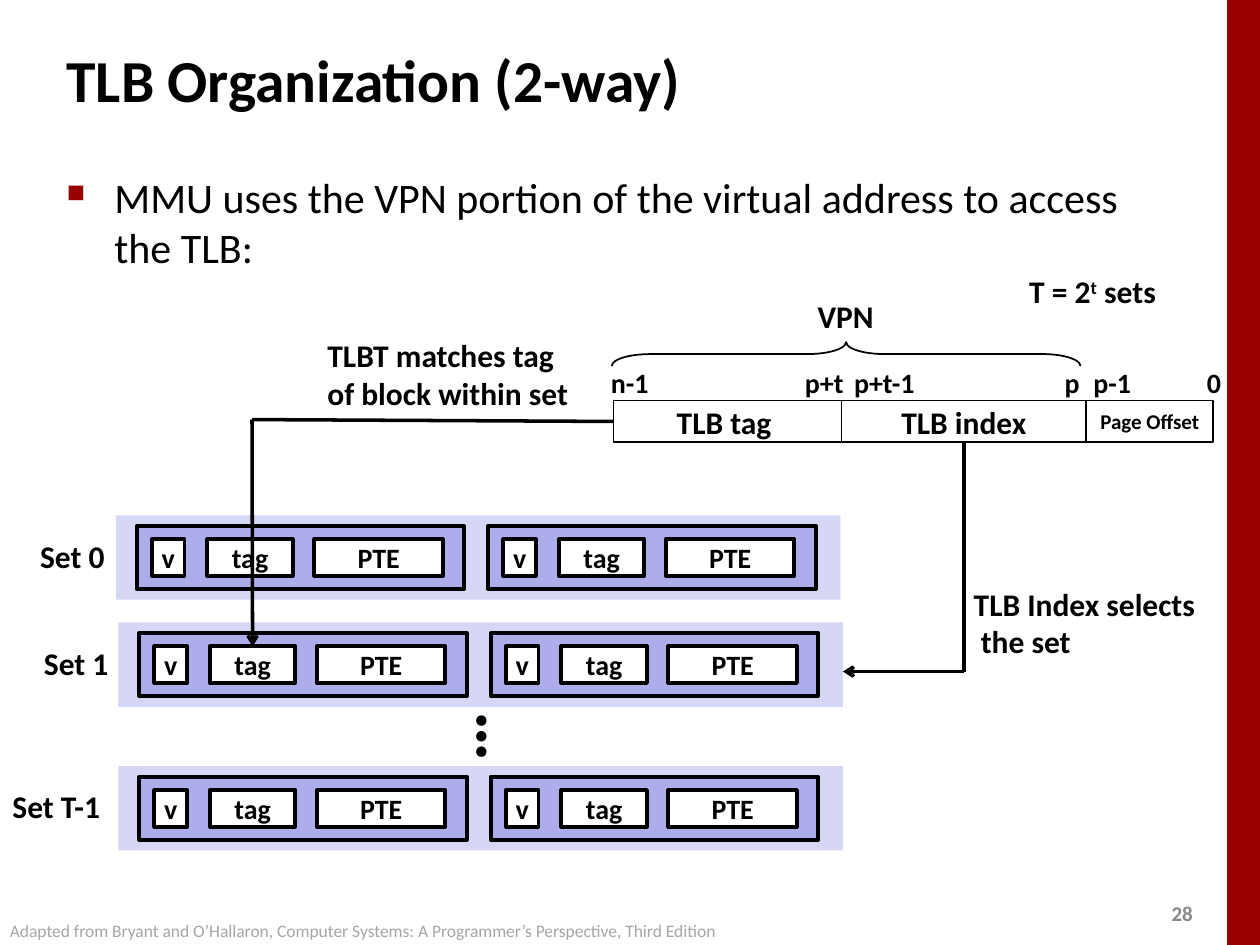
from lxml.etree import SubElement
from pptx import Presentation
from pptx.dml.color import RGBColor
from pptx.enum.shapes import MSO_CONNECTOR, MSO_SHAPE
from pptx.enum.text import MSO_ANCHOR, MSO_AUTO_SIZE, PP_ALIGN
from pptx.oxml.ns import qn
from pptx.util import Inches, Pt

W, H = 10, 7.5
FONT = "Calibri"
BLACK, WHITE, RED = "000000", "FFFFFF", "990000"
PALE, LILAC = "D6D6F5", "ADADEB"

TITLE = "TLB Organization (2-way)"
BULLET = "MMU uses the VPN portion of the virtual address to access the TLB:"
CREDIT = ("Adapted from Bryant and O’Hallaron, Computer Systems: "
          "A Programmer’s Perspective, Third Edition")

# Address fields: text, width, text size, fill
FIELDS = [("TLB tag ", 1.81, 18, WHITE), ("TLB index", 1.94, 18, None),
          ("Page Offset", 1.01, 12, None)]
FIELD_X, FIELD_Y, FIELD_H = 4.87, 3.18, 0.33
# Bit numbers above the fields: text, left, width
BITS = [("n-1", 4.75, 0.51), ("p+t", 6.29, 0.51), ("p+t-1", 6.68, 0.69),
        ("p", 8.35, 0.32), ("p-1", 8.58, 0.51), ("0", 9.48, 0.32)]

# Sets: label, label left, label width, row left, row top
SETS = [("Set 0", 0.22, 0.72, 0.92, 4.09), ("Set 1", 0.25, 0.72, 0.94, 4.94),
        ("Set T-1", 0, 0.92, 0.94, 6.08)]
SET_W, SET_H = 5.75, 0.67
WAYS, WAY_W, WAY_H, PITCH = 2, 2.6, 0.5, 2.79
# Parts of one way: text, left within the way, width
PARTS = [("v", 0.12, 0.26), ("tag", 0.56, 0.68), ("PTE", 1.41, 1.02)]
PART_H = 0.29

prs = Presentation()
prs.slide_width, prs.slide_height = Inches(W), Inches(H)
slide = prs.slides.add_slide(prs.slide_layouts[6])
shapes = slide.shapes


def rgb(code):
    return RGBColor.from_string(code)


def write(par, text, size, bold=True, color=BLACK):
    run = par.add_run()
    run.text = text
    font = run.font
    font.name, font.size, font.bold = FONT, Pt(size), bold
    font.color.rgb = rgb(color)
    return run


def label(lines, at, size=18, bold=True, color=BLACK, wrap=False,
          anchor=MSO_ANCHOR.TOP, grow=True):
    box = shapes.add_textbox(*map(Inches, at))
    frame = box.text_frame
    frame.word_wrap, frame.vertical_anchor = wrap, anchor
    frame.auto_size = (MSO_AUTO_SIZE.SHAPE_TO_FIT_TEXT if grow
                       else MSO_AUTO_SIZE.NONE)
    for i, line in enumerate(lines):
        par = frame.add_paragraph() if i else frame.paragraphs[0]
        write(par, line, size, bold, color)
    return box


def block(at, fill=None, line=None, text="", size=16, kind=MSO_SHAPE.RECTANGLE):
    shape = shapes.add_shape(kind, *map(Inches, at))
    shape.shadow.inherit = False
    if fill:
        shape.fill.solid()
        shape.fill.fore_color.rgb = rgb(fill)
    else:
        shape.fill.background()
    if line:
        shape.line.color.rgb = rgb(BLACK)
        shape.line.width = Pt(line)
    else:
        shape.line.fill.background()
    if text:
        frame = shape.text_frame
        frame.word_wrap, frame.vertical_anchor = False, MSO_ANCHOR.MIDDLE
        par = frame.paragraphs[0]
        par.alignment = PP_ALIGN.CENTER
        write(par, text, size)
    return shape


def link(start, end, arrow=False):
    wire = shapes.add_connector(MSO_CONNECTOR.STRAIGHT,
                                *map(Inches, start + end))
    wire.line.color.rgb = rgb(BLACK)
    wire.line.width = Pt(2)
    if arrow:
        SubElement(wire.line._get_or_add_ln(), qn("a:tailEnd"), type="arrow")
    SubElement(wire._element.spPr, qn("a:effectLst"))
    return wire


def add_bullet(par):
    props = par._p.get_or_add_pPr()
    props.set("marL", str(Inches(0.38)))
    props.set("indent", str(Inches(-0.38)))
    color = SubElement(props, qn("a:buClr"))
    SubElement(color, qn("a:srgbClr"), val=RED)
    SubElement(props, qn("a:buSzPct"), val="60000")
    SubElement(props, qn("a:buChar"), char="■")


# Frame of the slide
block((W - 0.26, 0, 0.26, H), RED)
label(["28"], (9.2, 7.1, 0.4, 0.3), 12, color="898989", wrap=True,
      anchor=MSO_ANCHOR.MIDDLE, grow=False)
label([TITLE], (0.43, 0.21, 8.3, 0.83), 34, wrap=True,
      anchor=MSO_ANCHOR.MIDDLE, grow=False)
body = label([BULLET], (0.43, 1.31, 8.64, 5.67), 24, bold=False, wrap=True,
             grow=False)
first = body.text_frame.paragraphs[0]
first.space_before = Pt(5)
add_bullet(first)

# Virtual address
fields, x = {}, FIELD_X
for text, width, size, fill in FIELDS:
    fields[text.strip()] = block((x, FIELD_Y, width, FIELD_H), fill, 1, text, size)
    x += width
for text, left, width in BITS:
    label([text], (left, 2.85, width, 0.37), 16, anchor=MSO_ANCHOR.MIDDLE)
brace = block((6.62, 0.95, 0.19, 3.72), line=1, kind=MSO_SHAPE.LEFT_BRACE)
brace.rotation = 90
brace.adjustments[0], brace.adjustments[1] = 1.6, 0.5
label(["VPN"], (6.39, 2.31, 0.65, 0.4), anchor=MSO_ANCHOR.MIDDLE)

# Sets of the TLB
cells = {}
for name, left, width, x, y in SETS:
    block((x, y, SET_W, SET_H), PALE)
    for way in range(WAYS):
        way_x, way_y = x + 0.165 + way * PITCH, y + (SET_H - WAY_H) / 2
        block((way_x, way_y, WAY_W, WAY_H), LILAC, 2.25)
        for text, shift, part_w in PARTS:
            at = (way_x + shift, way_y + (WAY_H - PART_H) / 2, part_w, PART_H)
            cells[name, way, text] = block(at, WHITE, 2.25, text)
    label([name], (left, y + 0.12, width, 0.4))
dots = label(["…"], (3.34, 5.46, 0.6, 0.77), 40)
dots.rotation = 270

# Number of sets
count = label(["T = 2"], (8.07, 2.11, 1.25, 0.4), wrap=True)
par = count.text_frame.paragraphs[0]
write(par, "t", 18)._r.get_or_add_rPr().set("baseline", "30000")
write(par, " sets", 18)

# How the index and the tag are used
bend = (7.65, 5.33)
link((7.65, 3.51), bend).begin_connect(fields["TLB index"], 2)
link(bend, (6.69, 5.33), arrow=True)
label(["TLB Index selects", " the set"], (7.63, 4.59, 1.97, 0.71))

bend = (2, 3.33)
link((4.87, 3.35), bend).begin_connect(fields["TLB tag"], 1)
link(bend, (2.01, 5.14), arrow=True).end_connect(cells["Set 1", 0, "tag"], 0)
label(["TLBT matches tag of block within set"], (2.5, 2.62, 2.25, 0.71),
      wrap=True)

label([CREDIT], (-0.02, 7.25, 5.95, 0.27), 10, bold=False, color="A6A6A6")

prs.save("out.pptx")
